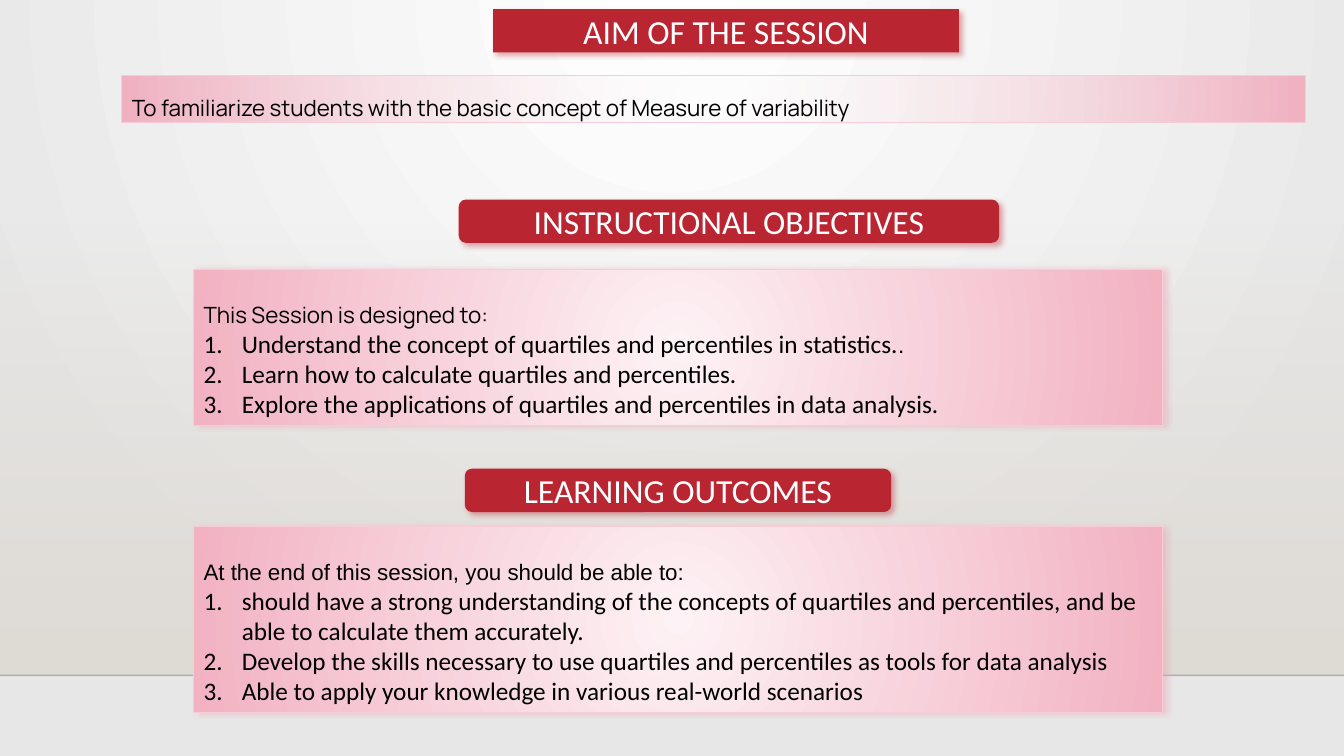
from lxml import etree
from pptx import Presentation
from pptx.dml.color import RGBColor
from pptx.enum.shapes import MSO_CONNECTOR, MSO_SHAPE
from pptx.enum.text import MSO_ANCHOR, MSO_AUTO_SIZE, PP_ALIGN
from pptx.oxml import parse_xml
from pptx.oxml.ns import nsdecls, qn
from pptx.util import Inches, Pt

RECTANGLE = MSO_SHAPE.RECTANGLE
ROUNDED = MSO_SHAPE.ROUNDED_RECTANGLE
STRAIGHT = MSO_CONNECTOR.STRAIGHT
MIDDLE, TOP = MSO_ANCHOR.MIDDLE, MSO_ANCHOR.TOP
CENTER, LEFT = PP_ALIGN.CENTER, PP_ALIGN.LEFT
FIXED, GROW = MSO_AUTO_SIZE.NONE, MSO_AUTO_SIZE.SHAPE_TO_FIT_TEXT

COLORS = {
    "white": "FFFFFF", "black": "000000", "grey": "E7E7E7",
    "floor": "DFDBD5", "horizon": "000001", "red": "BA2532",
    "pale": "FDF2F5", "pink": "F2B2C2", "edge": "F7CCD6", "glow": "EE99AD",
}
SLIDE_WIDTH, SLIDE_HEIGHT = 13.33, 7.5
HORIZON = 6.7
INDENT = Inches(0.38)
RADIAL = '<a:path path="circle"><a:fillToRect l="{}" t="{}" r="{}" b="{}"/></a:path>'
DOWNWARD = '<a:lin ang="5400000" scaled="0"/>'
CENTERED = RADIAL.format(*[50000] * 4)


def rgb(name):
    return RGBColor.from_string(COLORS[name])


class SessionPage:
    def __init__(self, deck):
        self.page = deck.slides.add_slide(deck.slide_layouts[5])

    def gradient(self, element, fill, start, end, course, clear_start=False):
        """Blend two colours along a course, optionally from transparent."""
        alpha = '<a:alpha val="0"/>' if clear_start else ""
        fill.gradient()
        plain = next(element.iter(qn("a:gradFill")))
        blend = parse_xml(
            f'<a:gradFill {nsdecls("a")} rotWithShape="1"><a:gsLst>'
            f'<a:gs pos="0"><a:srgbClr val="{COLORS[start]}">{alpha}</a:srgbClr></a:gs>'
            f'<a:gs pos="100000"><a:srgbClr val="{COLORS[end]}"/></a:gs>'
            f"</a:gsLst>{course}</a:gradFill>")
        plain.getparent().replace(plain, blend)

    def shadow(self, shape, color, degrees):
        effects = shape._element.spPr.find(qn("a:effectLst"))
        effects.append(parse_xml(
            f'<a:outerShdw {nsdecls("a")} blurRad="{Pt(4)}" dist="{Pt(3)}" '
            f'dir="{degrees * 60000}" algn="ctr" rotWithShape="0">'
            f'<a:srgbClr val="{COLORS[color]}"><a:alpha val="40000"/></a:srgbClr>'
            "</a:outerShdw>"))

    def shape(self, kind, left, top, width, height):
        box = self.page.shapes.add_shape(
            kind, Inches(left), Inches(top), Inches(width), Inches(height))
        box.shadow.inherit = False
        box.line.fill.background()
        return box

    def format_span(self, span, size, font, color="black"):
        span.font.size = Pt(size)
        span.font.name = font
        span.font.color.rgb = rgb(color)

    def backdrop(self):
        self.gradient(self.page._element, self.page.background.fill, "white", "grey",
                      RADIAL.format(43000, 0, 43000, 100000))
        floor = self.shape(RECTANGLE, 0, 2.21, SLIDE_WIDTH, HORIZON - 2.21)
        self.gradient(floor._element, floor.fill, "floor", "floor", DOWNWARD, True)
        horizon = self.page.shapes.add_connector(
            STRAIGHT, 0, Inches(HORIZON), Inches(SLIDE_WIDTH), Inches(HORIZON))
        horizon.line.width = Pt(1)
        horizon.line.color.rgb = rgb("horizon")
        tint = next(horizon._element.iter(qn("a:srgbClr")))
        etree.SubElement(tint, qn("a:alpha")).set("val", "20000")
        etree.SubElement(horizon._element.spPr, qn("a:effectLst"))

    def title(self, text, left, top, width):
        box = self.page.shapes.title
        box.left, box.top = Inches(left), Inches(top)
        box.width, box.height = Inches(width), Inches(0.43)
        box._element.spPr.append(parse_xml(
            f'<a:prstGeom {nsdecls("a")} prst="roundRect"><a:avLst/></a:prstGeom>'))
        box.shadow.inherit = False
        self.format_banner(box, text)

    def banner(self, text, left, top, width):
        self.format_banner(self.shape(ROUNDED, left, top, width, 0.43), text)

    def format_banner(self, box, text):
        box.fill.solid()
        box.fill.fore_color.rgb = rgb("red")
        self.shadow(box, "red", 45)
        frame = box.text_frame
        frame.text = text
        frame.word_wrap = True
        frame.auto_size = FIXED
        frame.vertical_anchor = MIDDLE
        para = frame.paragraphs[0]
        para.alignment = CENTER
        self.format_span(para.runs[0], 24, "Calibri", "white")

    def panel(self, place, intro, font, spacing, items=(), raised=True):
        """Pink box with an intro line and numbered items."""
        box = self.shape(RECTANGLE, *place)
        self.gradient(box._element, box.fill, "pale", "pink", CENTERED, not raised)
        box.line.color.rgb = rgb("edge")
        box.line.width = Pt(0.75)
        if raised:
            self.shadow(box, "glow", 0)
        frame = box.text_frame
        frame.text = intro
        frame.word_wrap = True
        frame.auto_size = GROW
        frame.vertical_anchor = TOP
        para = frame.paragraphs[0]
        para.alignment = LEFT
        para.line_spacing = spacing
        self.format_span(para.runs[0], 16, font)
        for item in items:
            self.numbered(frame.add_paragraph(), item)
        return frame

    def numbered(self, para, text):
        properties = para._p.get_or_add_pPr()
        properties.set("marL", str(INDENT))
        properties.set("indent", str(-INDENT))
        etree.SubElement(properties, qn("a:buFont")).set("typeface", "+mj-lt")
        etree.SubElement(properties, qn("a:buAutoNum")).set("type", "arabicPeriod")
        para.text = text
        para.alignment = LEFT
        self.format_span(para.runs[0], 18, "Calibri")


def main():
    deck = Presentation()
    deck.slide_width, deck.slide_height = Inches(SLIDE_WIDTH), Inches(SLIDE_HEIGHT)
    session = SessionPage(deck)
    session.backdrop()

    session.title("AIM OF THE SESSION", 4.89, 0.09, 4.62)
    session.panel(
        (1.21, 0.75, 11.74, 0.47),
        "To familiarize students with the basic concept of Measure of variability",
        "Manrope", 1.5, raised=False)

    session.banner("INSTRUCTIONAL OBJECTIVES", 4.55, 1.98, 5.36)
    objectives = session.panel(
        (1.92, 2.67, 9.61, 1.55), "This Session is designed to:", "Manrope", 2.0, [
            "Understand the concept of quartiles and percentiles in statistics.",
            "Learn how to calculate quartiles and percentiles.",
            "Explore the applications of quartiles and percentiles in data analysis.",
        ])
    second_stop = objectives.paragraphs[1].add_run()
    second_stop.text = "."
    session.format_span(second_stop, 16, "Arial")

    session.banner("LEARNING OUTCOMES", 4.61, 4.65, 4.23)
    session.panel(
        (1.92, 5.22, 9.61, 1.85),
        "At the end of this session, you should be able to:", "Arial", 2.0, [
            "should have a strong understanding of the concepts of quartiles and "
            "percentiles, and be able to calculate them accurately.",
            "Develop the skills necessary to use quartiles and percentiles as tools "
            "for data analysis",
            "Able to apply your knowledge in various real-world scenarios",
        ])
    deck.save("out.pptx")


if __name__ == "__main__":
    main()
